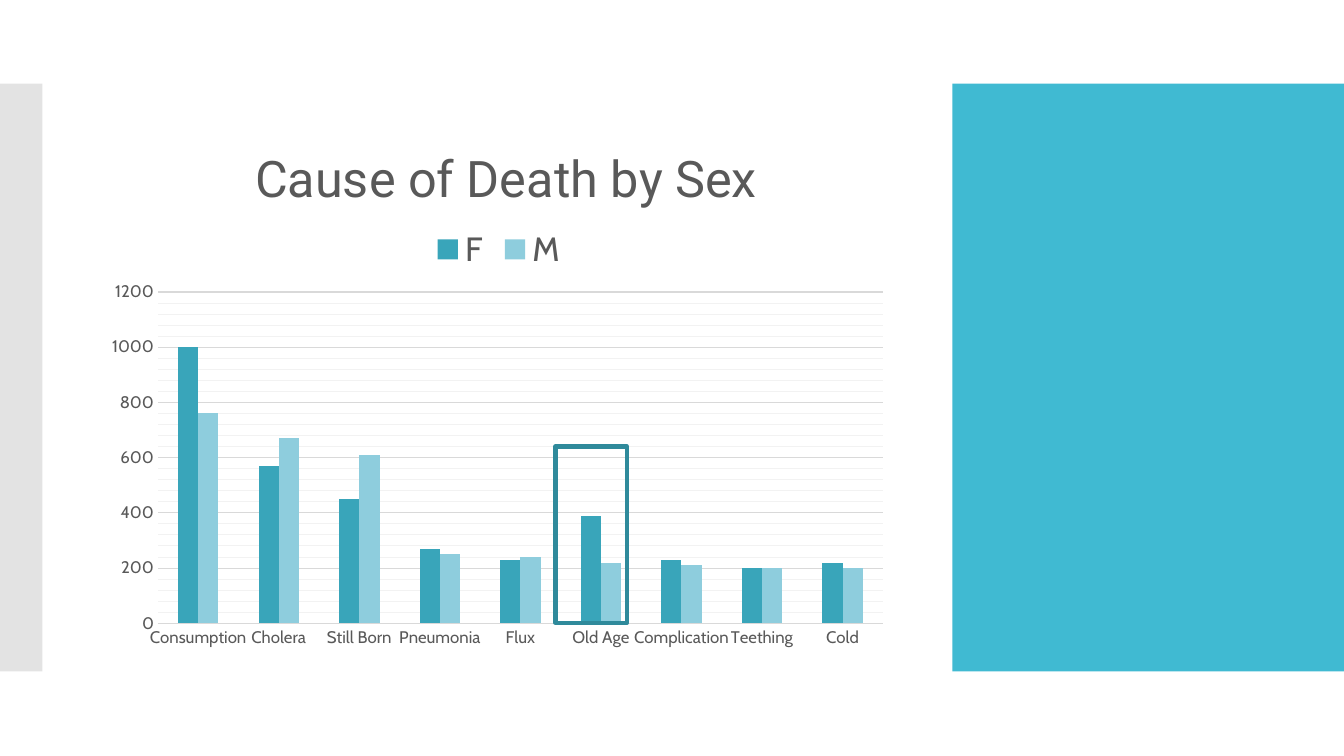
from copy import deepcopy
from dataclasses import dataclass

from lxml import etree
from pptx import Presentation
from pptx.chart.data import CategoryChartData
from pptx.dml.color import RGBColor
from pptx.enum import chart as charts, shapes
from pptx.oxml import ns
from pptx.util import Cm, Pt


@dataclass(frozen=True)
class Theme:
    accent: str = "40BAD2"
    edge: str = "C8C8C8"
    female: str = "39A5BA"
    male: str = "8ECDDD"
    highlight: str = "2F8A9B"
    text: str = "595959"
    grid: str = "D9D9D9"
    minor_grid: str = "F2F2F2"
    title_font: str = "Roboto"
    body_font: str = "Cabin"
    title_size: int = 36
    legend_size: int = 24
    axis_size: int = 12


THEME = Theme()
CHART_BOX = (2.41, 2.59, 20.27, 14)
CAUSES = ["Consumption", "Cholera", "Still Born", "Pneumonia", "Flux",
          "Old Age", "Complication", "Teething", "Cold"]
DEATHS = {
    "F": (THEME.female, [1000, 570, 450, 270, 230, 390, 230, 200, 220]),
    "M": (THEME.male, [760, 670, 610, 250, 240, 220, 210, 200, 200]),
}


def set_attributes(target, values):
    for name, value in values.items():
        setattr(target, name, value)


def style_font(font, name, size):
    set_attributes(font, {"name": name, "size": Pt(size), "bold": False})
    font.color.rgb = RGBColor.from_string(THEME.text)


def style_fill(fill, color):
    fill.solid()
    fill.fore_color.rgb = RGBColor.from_string(color)


def style_line(line, color, width):
    line.color.rgb = RGBColor.from_string(color)
    line.width = Pt(width)


def add_rectangle(slide, box):
    shape = slide.shapes.add_shape(
        shapes.MSO_SHAPE.RECTANGLE, *[Cm(length) for length in box])
    shape.shadow.inherit = False
    return shape


def add_panel(slide, box, color, opacity=100):
    panel = add_rectangle(slide, box)
    style_fill(panel.fill, color)
    panel.line.fill.background()
    if opacity < 100:
        color_element = panel._element.spPr.find(".//" + ns.qn("a:srgbClr"))
        alpha = etree.SubElement(color_element, ns.qn("a:alpha"))
        alpha.set("val", str(opacity * 1000))


def add_highlight(slide, box):
    frame = add_rectangle(slide, box)
    frame.fill.background()
    style_line(frame.line, THEME.highlight, 3)
    outline = frame._element.spPr.find(ns.qn("a:ln"))
    etree.SubElement(outline, ns.qn("a:round"))


def place_in_chart(element, index, box, inner=False):
    for previous in element.findall(ns.qn("c:layout")):
        element.remove(previous)
    layout = etree.Element(ns.qn("c:layout"))
    manual = etree.SubElement(layout, ns.qn("c:manualLayout"))
    left, top, width, height = CHART_BOX
    settings = {"layoutTarget": "inner"} if inner else {}
    settings.update(xMode="edge", yMode="edge")
    lengths = [box[0] - left, box[1] - top, *box[2:]]
    for name, length, total in zip("xywh", lengths, (width, height) * 2):
        settings[name] = f"{length / total:.4f}"
    for name, value in settings.items():
        etree.SubElement(manual, ns.qn(f"c:{name}")).set("val", value)
    element.insert(index, layout)


def add_gridlines(axis):
    axis.has_major_gridlines = True
    axis.has_minor_gridlines = True
    style_line(axis.major_gridlines.format.line, THEME.grid, 0.75)
    major = axis._element.find(ns.qn("c:majorGridlines"))
    minor = axis._element.find(ns.qn("c:minorGridlines"))
    minor.append(deepcopy(major.find(ns.qn("c:spPr"))))
    minor.find(".//" + ns.qn("a:srgbClr")).set("val", THEME.minor_grid)


def style_axes(chart):
    category_axis, value_axis = chart.category_axis, chart.value_axis
    for axis in (category_axis, value_axis):
        set_attributes(axis, {
            "major_tick_mark": charts.XL_TICK_MARK.NONE,
            "minor_tick_mark": charts.XL_TICK_MARK.NONE,
        })
        style_font(axis.tick_labels.font, THEME.body_font, THEME.axis_size)
        body = axis._element.find(f"{ns.qn('c:txPr')}/{ns.qn('a:bodyPr')}")
        body.set("rot", "-60000000")
    set_attributes(value_axis, {
        "minimum_scale": 0, "maximum_scale": 1200,
        "major_unit": 200, "minor_unit": 40,
    })
    style_line(category_axis.format.line, THEME.grid, 0.75)
    value_axis.format.line.fill.background()
    add_gridlines(value_axis)


def add_death_chart(slide):
    data = CategoryChartData()
    data.categories = CAUSES
    for name, (_, values) in DEATHS.items():
        data.add_series(name, values)
    chart = slide.shapes.add_chart(
        charts.XL_CHART_TYPE.COLUMN_CLUSTERED,
        *[Cm(length) for length in CHART_BOX], data).chart
    style_font(chart.font, THEME.body_font, THEME.axis_size)
    set_attributes(chart, {"has_title": True, "has_legend": True})

    title = chart.chart_title
    title.text_frame.text = "Cause of Death by Sex"
    style_font(title.text_frame.paragraphs[0].runs[0].font,
               THEME.title_font, THEME.title_size)
    place_in_chart(title._element, 1, (6.2, 3.4))

    set_attributes(chart.legend, {
        "position": charts.XL_LEGEND_POSITION.TOP, "include_in_layout": False})
    style_font(chart.legend.font, THEME.body_font, THEME.legend_size)
    place_in_chart(chart.legend._element, 1, (10.75, 5.6))

    plot = chart.plots[0]
    set_attributes(plot, {
        "gap_width": 199, "overlap": 0, "vary_by_categories": False})
    for series, (color, _) in zip(plot.series, DEATHS.values()):
        style_fill(series.format.fill, color)
    style_axes(chart)
    plot_area = plot._element.getparent()
    place_in_chart(plot_area, 0, (3.98, 7.36, 18.27, 8.35), inner=True)


def main():
    presentation = Presentation()
    set_attributes(presentation, {
        "slide_width": Cm(33.87), "slide_height": Cm(19.05)})
    slide = presentation.slides.add_slide(presentation.slide_layouts[6])
    add_panel(slide, (24, 2.11, 9.87, 14.81), THEME.accent)
    add_panel(slide, (0, 2.11, 1.07, 14.81), THEME.edge, opacity=50)
    add_death_chart(slide)
    add_highlight(slide, (14, 11.25, 1.8, 4.45))
    presentation.save("out.pptx")


main()
